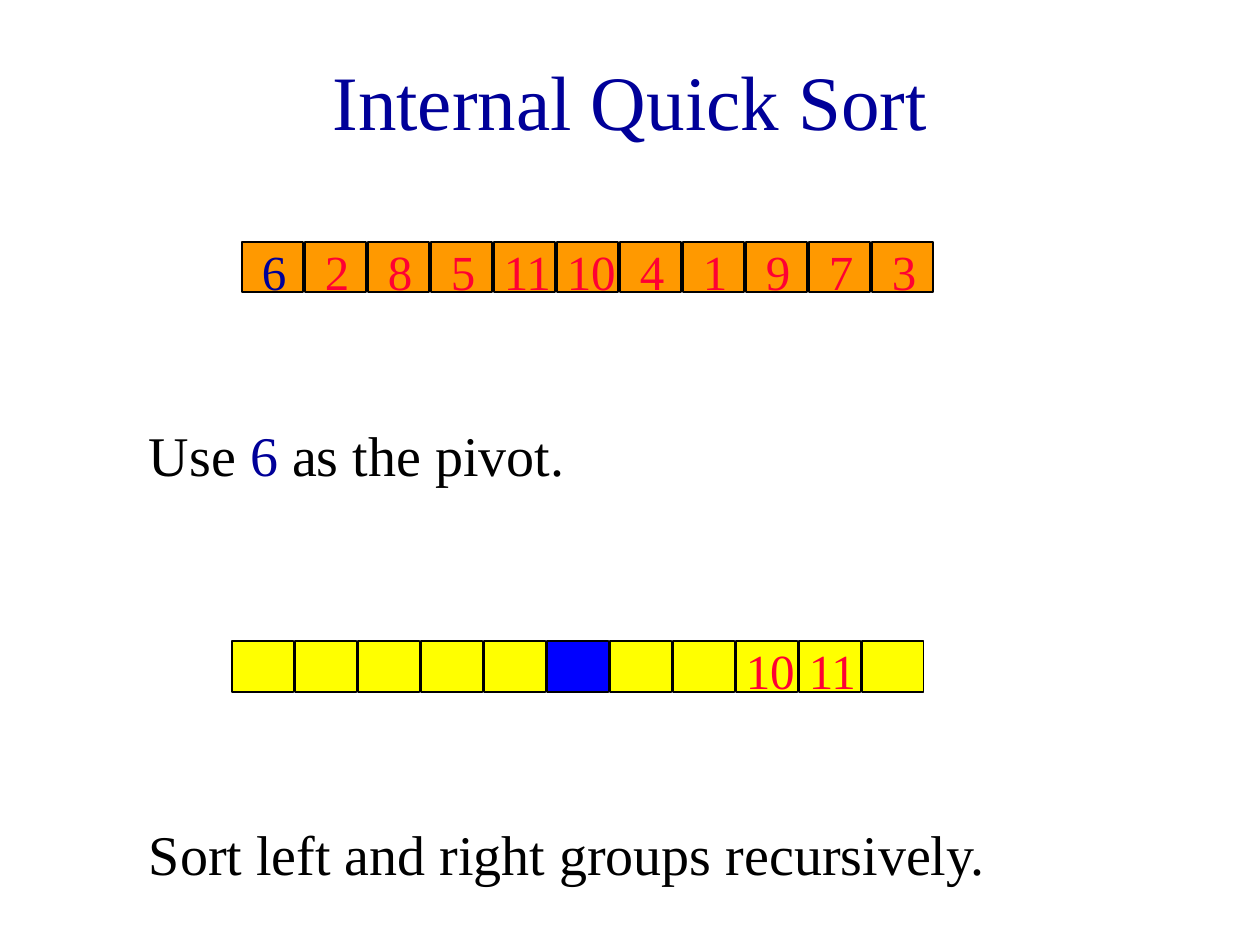
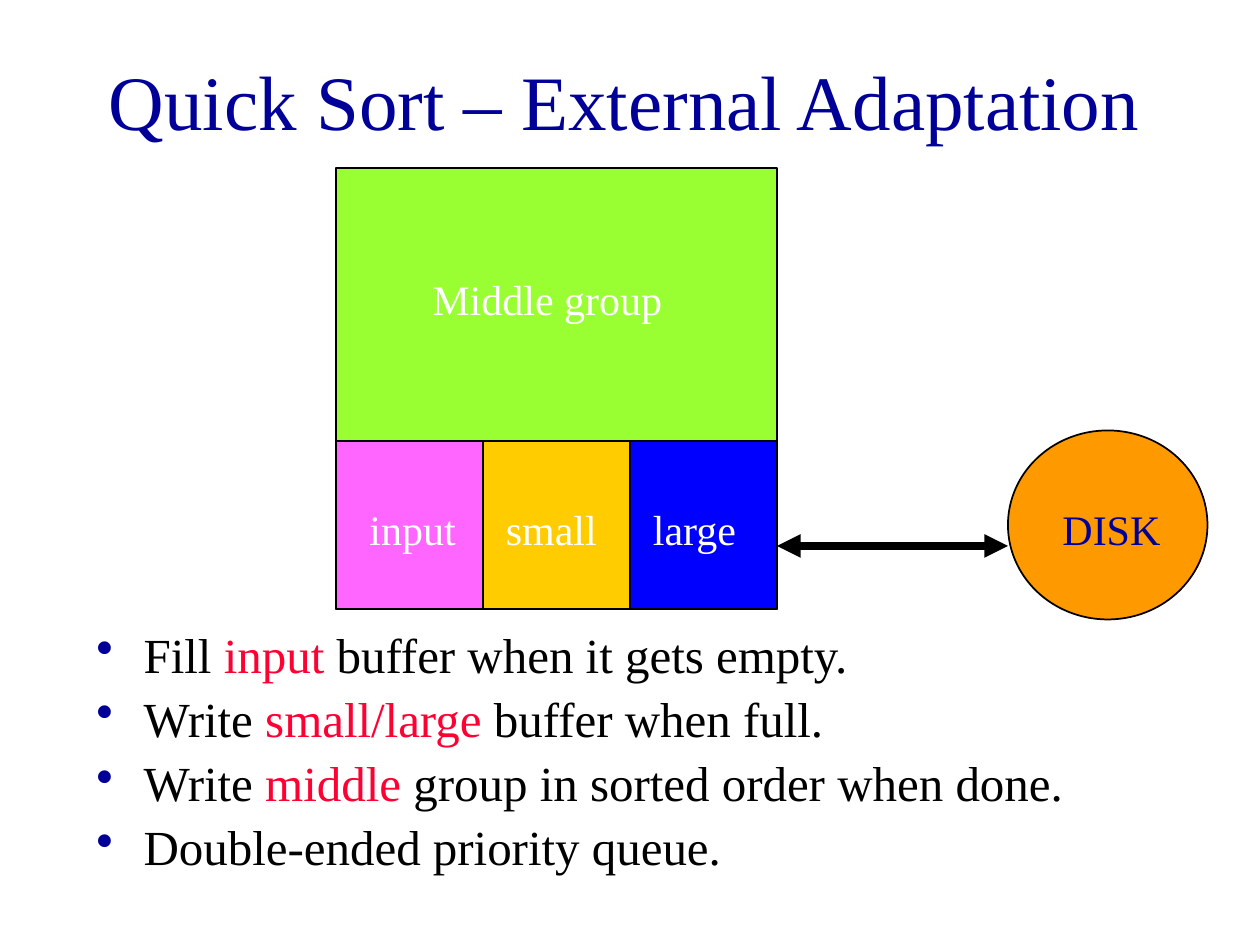
from dataclasses import dataclass
from lxml.etree import SubElement
from pptx import Presentation
from pptx.dml.color import RGBColor
from pptx.enum.shapes import MSO_CONNECTOR, MSO_SHAPE
from pptx.enum.text import MSO_ANCHOR, PP_ALIGN
from pptx.oxml.ns import qn
from pptx.util import Pt


@dataclass(frozen=True)
class Theme:
    font: str = "Times New Roman"
    navy: str = "000099"
    red: str = "FF0033"
    black: str = "000000"
    white: str = "FFFFFF"
    orange: str = "FF9900"
    yellow: str = "FFFF00"
    blue: str = "0000FF"
    green: str = "99FF33"
    pink: str = "FF66FF"
    gold: str = "FFCC00"
    title: int = 44
    note: int = 32
    body: int = 28
    label: int = 24


T = Theme()

# Content: a run is (text, colour)
ROWS = [  # left, top, fill, cells
    (138.2, 138.2, T.orange, ["6", "2", "8", "5", "11", "10", "4", "1", "9", "7", "3"]),
    (132.5, 366.5, T.yellow, [""] * 8 + ["10", "11", ""]),
]
PIVOTS = {(0, 0): (T.orange, T.navy), (1, 5): (T.blue, T.red)}  # fill, text
NOTES = [
    (234, [("Use ", T.black), ("6 ", T.navy), ("as the pivot.", T.black)]),
    (462, [("Sort left and right groups recursively.", T.black)]),
]
BUFFERS = [("input", T.pink, 12), ("small", T.gold, 6), ("large", T.blue, 6)]
POINTS = [
    [("Fill ", T.black), ("input", T.red), (" buffer when it gets empty.", T.black)],
    [("Write ", T.black), ("small/large", T.red), (" buffer when full.", T.black)],
    [("Write", T.black), (" middle", T.red),
     (" group in sorted order when done.", T.black)],
    [("Double-ended priority queue.", T.black)],
]


# Shared parts
def paint(shape, fill):
    shape.shadow.inherit = False
    shape.fill.solid()
    shape.fill.fore_color.rgb = RGBColor.from_string(fill)
    shape.line.color.rgb = RGBColor.from_string(T.black)
    shape.line.width = Pt(1)


def form(slide, kind, box, fill):
    paint(slide.shapes.add_shape(kind, *map(Pt, box)), fill)


def write(para, runs, size):
    for text, color in runs:
        run = para.add_run()
        run.text = text
        run.font.name = T.font
        run.font.size = Pt(size)
        run.font.color.rgb = RGBColor.from_string(color)


def frame(slide, box, inset=6):
    text = slide.shapes.add_textbox(*map(Pt, box)).text_frame
    text.word_wrap = True
    text.margin_top = Pt(inset)
    return text


def label(slide, box, runs, size):
    write(frame(slide, box).paragraphs[0], runs, size)


def page(deck, title, left, width):
    slide = deck.slides.add_slide(deck.slide_layouts[6])
    text = frame(slide, (left, 12, width, 90), 3.6)
    text.vertical_anchor = MSO_ANCHOR.MIDDLE
    text.paragraphs[0].alignment = PP_ALIGN.CENTER
    write(text.paragraphs[0], [(title, T.navy)], T.title)
    return slide


def bullet(para):
    props = para._p.get_or_add_pPr()
    props.set("marL", str(Pt(27)))
    props.set("indent", str(-Pt(27)))
    color = SubElement(props, qn("a:buClr"))
    SubElement(color, qn("a:srgbClr"), val=T.navy)
    SubElement(props, qn("a:buChar"), char="•")


def arrow(slide, start, end, y):
    link = slide.shapes.add_connector(
        MSO_CONNECTOR.STRAIGHT, Pt(start), Pt(y), Pt(end), Pt(y))
    link.line.color.rgb = RGBColor.from_string(T.black)
    link.line.width = Pt(4.5)
    line = link.line._get_or_add_ln()
    for tip in ("a:headEnd", "a:tailEnd"):
        SubElement(line, qn(tip), type="triangle")
    SubElement(link._element.spPr, qn("a:effectLst"))


# Slide 1: number rows before and after the split
def inner(deck):
    slide = page(deck, "Internal Quick Sort", 54, 612)
    step, wide, high = 36, 35.2, 28.8
    for row, (left, top, base, cells) in enumerate(ROWS):
        for col, digits in enumerate(cells):
            x = left + col * step
            fill, ink = PIVOTS.get((row, col), (base, T.red))
            form(slide, MSO_SHAPE.RECTANGLE, (x, top, wide, high), fill)
            if digits:
                shift, span = (4.4, 37.4) if len(digits) == 1 else (-1.4, 55)
                label(slide, (x + shift, top - 6.4, span, 41),
                      [(digits, ink)], T.body)
    for top, runs in NOTES:
        label(slide, (78, top, 564, 45.6), runs, T.note)


# Slide 2: memory split into buffers, linked to the disk
def outer(deck):
    slide = page(deck, "Quick Sort – External Adaptation", 36, 642)

    text = frame(slide, (48, 354, 612, 186), 6.4)
    for num, runs in enumerate(POINTS):
        para = text.add_paragraph() if num else text.paragraphs[0]
        bullet(para)
        para.line_spacing = 0.9
        if num:
            para.space_before = Pt(6.4)
        write(para, runs, T.body)

    left, side, top = 192, 252, 96
    form(slide, MSO_SHAPE.RECTANGLE, (left, top, side, side), T.green)
    form(slide, MSO_SHAPE.OVAL, (576, 246, 114, 108), T.orange)
    label(slide, (600, 282, 96, 36), [("DISK", T.navy)], T.label)
    arrow(slide, left + side, 576, 312)

    wide, high = side / len(BUFFERS), 96
    for num, (name, fill, pad) in enumerate(BUFFERS):
        x = left + num * wide
        form(slide, MSO_SHAPE.RECTANGLE, (x, top + side - high, wide, high), fill)
        label(slide, (x + pad, 282, 72, 36), [(name, T.white)], T.label)
    label(slide, (240, 150, 162, 36), [("Middle group", T.white)], T.label)


def main():
    deck = Presentation()
    deck.slide_width, deck.slide_height = Pt(720), Pt(540)
    inner(deck)
    outer(deck)
    deck.save("out.pptx")


if __name__ == "__main__":
    main()
